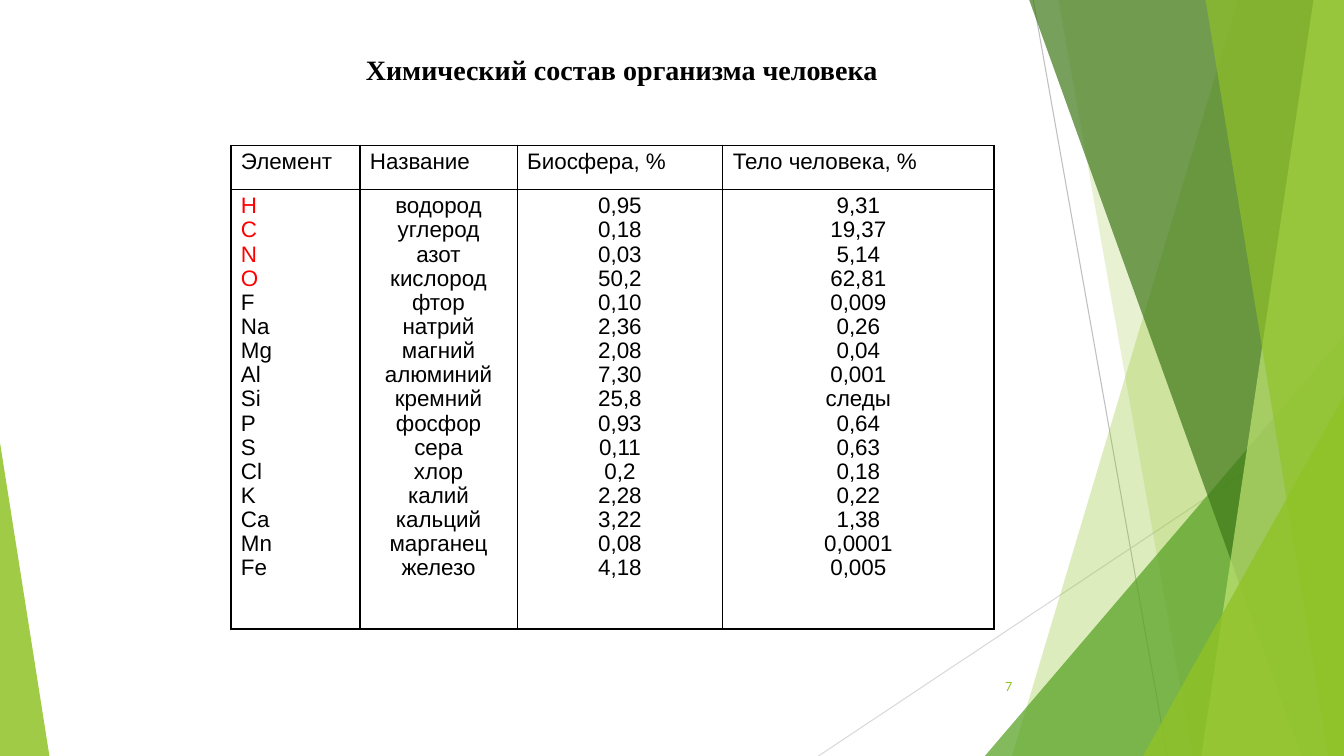
from dataclasses import dataclass

import lxml.etree
import pptx
import pptx.dml.color
import pptx.enum.shapes
import pptx.enum.text
import pptx.oxml.ns
import pptx.util

ALIGN = pptx.enum.text.PP_ALIGN
qn = pptx.oxml.ns.qn


@dataclass(frozen=True)
class Theme:
    black: str = "000000"
    red: str = "FF0000"
    lime: str = "90C226"
    pale_lime: str = "C0E474"
    green: str = "54A021"
    dark_green: str = "3F7819"
    gray: str = "BFBFBF"
    light_gray: str = "D9D9D9"
    title_size: int = 20
    table_size: int = 16
    number_size: int = 9


THEME = Theme()


@dataclass(frozen=True)
class Box:
    left: float
    top: float
    width: float
    height: float

    def point(self, column, row):
        """Place on a grid of 100 columns by 100 rows."""
        return (int(self.left + self.width * column / 100),
                int(self.top + self.height * row / 100))

    def area(self, column, row, columns, rows):
        return Box(*self.point(column, row),
                   int(self.width * columns / 100), int(self.height * rows / 100))

    def frame(self):
        return self.left, self.top, self.width, self.height


HEADERS = ["Элемент", "Название", "Биосфера, %", "Тело человека, %"]
ELEMENTS = [
    ("Н", "водород", "0,95", "9,31"),
    ("C", "углерод", "0,18", "19,37"),
    ("N", "азот", "0,03", "5,14"),
    ("О", "кислород", "50,2", "62,81"),
    ("F", "фтор", "0,10", "0,009"),
    ("Na", "натрий", "2,36", "0,26"),
    ("Mg", "магний", "2,08", "0,04"),
    ("Al", "алюминий", "7,30", "0,001"),
    ("Si", "кремний", "25,8", "следы"),
    ("P", "фосфор", "0,93", "0,64"),
    ("S", "сера", "0,11", "0,63"),
    ("Cl", "хлор", "0,2", "0,18"),
    ("K", "калий", "2,28", "0,22"),
    ("Ca", "кальций", "3,22", "1,38"),
    ("Mn", "марганец", "0,08", "0,0001"),
    ("Fe", "железо", "4,18", "0,005"),
]
MAIN_ELEMENTS = 4
COLUMN_WEIGHTS = [1.28, 1.56, 2.04, 2.69]
ROW_WEIGHTS = [0.44, 4.36]

# Rays: left top, left bottom (in grid columns), colour, opacity in percent
BACK_RAYS = [(92.1, 75.3, THEME.lime, 30), (78.75, 88.73, THEME.lime, 20)]
FRONT_RAYS = [(76.58, 96.83, THEME.dark_green, 70),
              (97.73, 89.4, THEME.pale_lime, 70),
              (89.7, 98.85, THEME.lime, 65)]


def color(value):
    return pptx.dml.color.RGBColor.from_string(value)


def paint(shape, value, opacity):
    shape.shadow.inherit = False
    shape.line.fill.background()
    shape.fill.solid()
    shape.fill.fore_color.rgb = color(value)
    tint = shape._element.spPr.find(qn("a:solidFill")).find(qn("a:srgbClr"))
    lxml.etree.SubElement(tint, qn("a:alpha"), val=str(opacity * 1000))


def style(para, size, font, value, align=ALIGN.LEFT, bold=False):
    para.alignment = align
    para.font.size = pptx.util.Pt(size)
    para.font.name = font
    para.font.bold = bold
    para.font.color.rgb = color(value)


def add_thin_line(page, box, start, end, value):
    line = page.shapes.add_connector(pptx.enum.shapes.MSO_CONNECTOR.STRAIGHT,
                                     *box.point(*start), *box.point(*end))
    line.line.color.rgb = color(value)
    line.line.width = pptx.util.Pt(0.75)
    lxml.etree.SubElement(line._element.spPr, qn("a:effectLst"))


def add_ray(page, box, top_column, bottom_column, value, opacity):
    outline = page.shapes.build_freeform(*box.point(top_column, 0))
    corners = [(100, 0), (100, 100), (bottom_column, 100)]
    outline.add_line_segments([box.point(*corner) for corner in corners], close=True)
    paint(outline.convert_to_shape(), value, opacity)


def add_corner(page, box, apex, value, opacity):
    corner = page.shapes.add_shape(
        pptx.enum.shapes.MSO_SHAPE.ISOSCELES_TRIANGLE, *box.frame())
    corner.adjustments[0] = apex
    paint(corner, value, opacity)


def add_facets(page, box):
    add_thin_line(page, box, (76.88, 0), (86.85, 100), THEME.gray)
    add_thin_line(page, box, (100, 53.73), (60.9, 100), THEME.light_gray)
    for ray in BACK_RAYS:
        add_ray(page, box, *ray)
    add_corner(page, box.area(73.28, 44.4, 26.72, 55.6), 1, THEME.green, 72)
    for ray in FRONT_RAYS:
        add_ray(page, box, *ray)
    add_corner(page, box.area(85.05, 52.4, 14.95, 47.6), 1, THEME.lime, 80)
    add_corner(page, box.area(0, 58.53, 3.68, 41.47), 0, THEME.lime, 85)


def add_number(page, box):
    frame = page.shapes.add_textbox(*box.frame()).text_frame
    frame.word_wrap = True
    frame.vertical_anchor = pptx.enum.text.MSO_ANCHOR.MIDDLE
    frame.text = "7"
    style(frame.paragraphs[0], THEME.number_size, "Lato", THEME.lime, ALIGN.RIGHT)


def add_title(page, box):
    frame = page.shapes.add_textbox(*box.frame()).text_frame
    frame.word_wrap = False
    frame.auto_size = pptx.enum.text.MSO_AUTO_SIZE.SHAPE_TO_FIT_TEXT
    frame.text = "Химический состав организма человека"
    style(frame.paragraphs[0], THEME.title_size, "Times New Roman", THEME.black, bold=True)


def fill_cell(cell, lines, align, red_lines):
    cell.text = "\n".join(lines)
    for index, para in enumerate(cell.text_frame.paragraphs):
        value = THEME.red if index < red_lines else THEME.black
        style(para, THEME.table_size, "Arial", value, align)
        para.line_spacing = 0.97
        indent = pptx.util.Inches(0.38)
        para._p.pPr.set("marL", str(indent))
        para._p.pPr.set("indent", str(-indent))
    # Borders come before the fill in the cell properties
    properties = cell._tc.get_or_add_tcPr()
    for side in ("a:lnL", "a:lnR", "a:lnT", "a:lnB"):
        border = lxml.etree.SubElement(properties, qn(side), w=str(pptx.util.Pt(1)))
        solid = lxml.etree.SubElement(border, qn("a:solidFill"))
        lxml.etree.SubElement(solid, qn("a:srgbClr"), val=THEME.black)
    cell.fill.background()


def add_composition_table(page, box):
    table = page.shapes.add_table(2, len(HEADERS), *box.frame()).table
    table.first_row = table.horz_banding = False
    for column, weight in zip(table.columns, COLUMN_WEIGHTS):
        column.width = int(box.width * weight / sum(COLUMN_WEIGHTS))
    for row, weight in zip(table.rows, ROW_WEIGHTS):
        row.height = int(box.height * weight / sum(ROW_WEIGHTS))
    for index, (header, values) in enumerate(zip(HEADERS, zip(*ELEMENTS))):
        symbols = index == 0
        fill_cell(table.cell(0, index), [header], ALIGN.LEFT, 0)
        fill_cell(table.cell(1, index), values,
                  ALIGN.LEFT if symbols else ALIGN.CENTER,
                  MAIN_ELEMENTS if symbols else 0)


def main():
    deck = pptx.Presentation()
    deck.slide_width = pptx.util.Inches(13.33)
    deck.slide_height = pptx.util.Inches(7.5)
    page = deck.slides.add_slide(deck.slide_layouts[6])
    whole = Box(0, 0, deck.slide_width, deck.slide_height)
    add_facets(page, whole)
    add_number(page, whole.area(70.43, 88.13, 5.63, 5.33))
    add_composition_table(page, whole.area(17.18, 19.2, 56.78, 64))
    add_title(page, whole.area(26.48, 6.27, 39.9, 5.87))
    deck.save("out.pptx")


if __name__ == "__main__":
    main()
